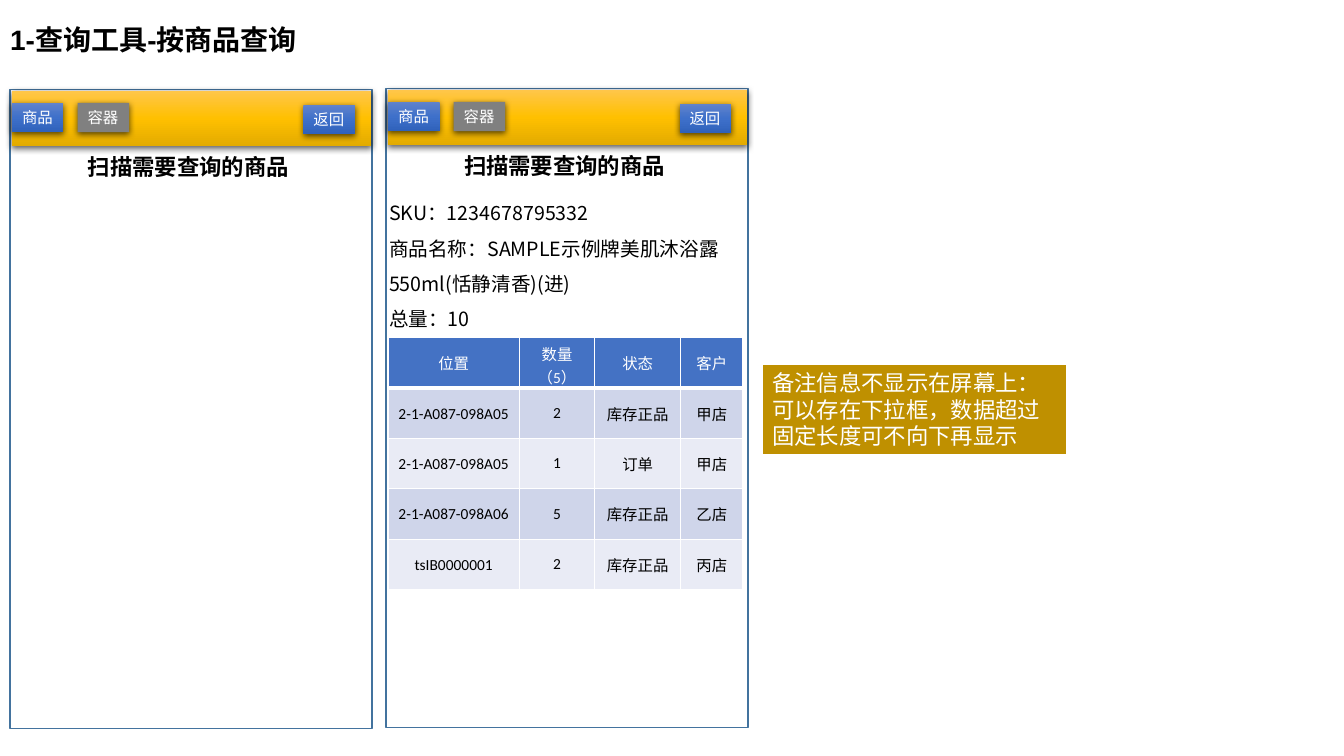
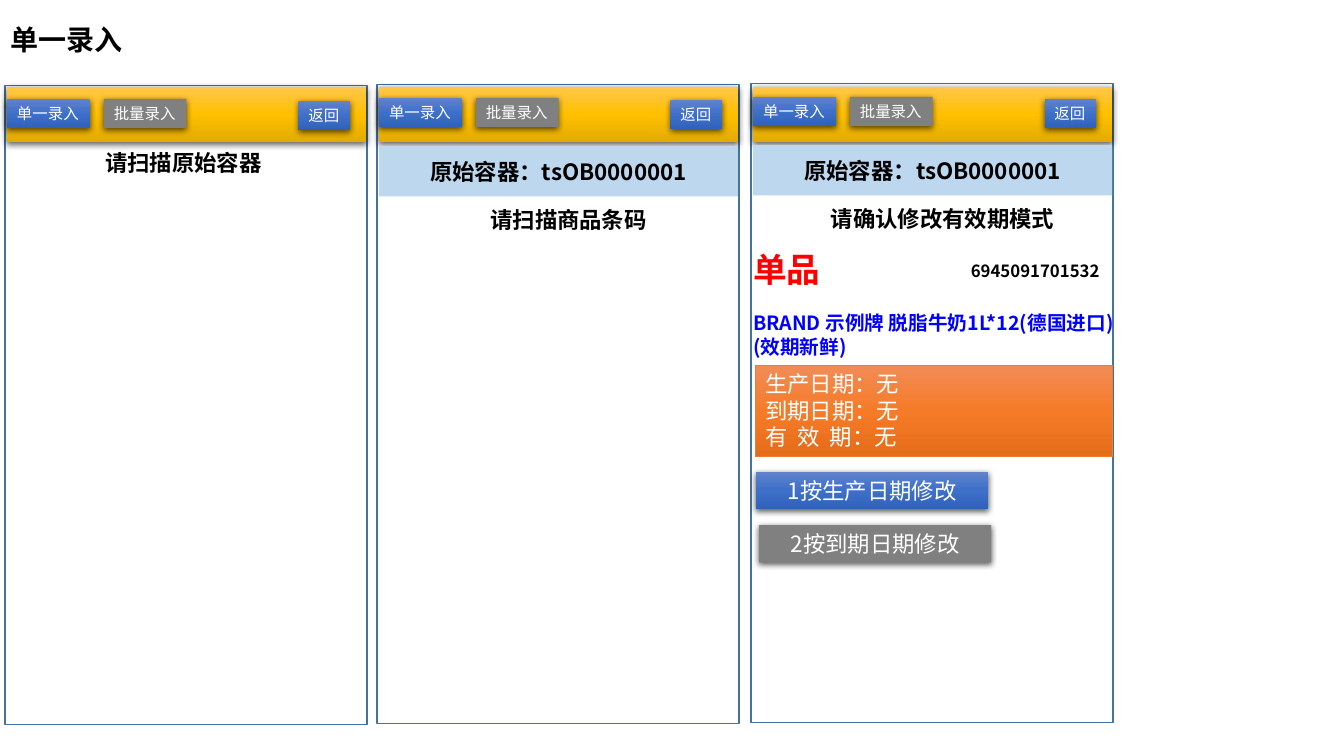
"""Build two slides of handheld scanner screens: stock query and single entry."""
import copy

import lxml.etree
import pptx
import pptx.dml.color
import pptx.enum.shapes
import pptx.enum.text
import pptx.oxml.ns
import pptx.util

PX = 9144
FONT = "Noto Sans CJK SC"
BLACK, WHITE, GREY, RED, LINK = "000000", "FFFFFF", "808080", "FF0000", "0000FF"
FRAME, STRIP, NOTE = "43739E", "BDD7EE", "BF9000"
GOLD = ("FFC64B", "FFC000", "E3AB00")
BLUE = ("6183CB", "3E70CA", "3062BB")
ORANGE = ("F18C57", "F67B28", "E56C19")
HEADER, ROW_FILLS = "4472C4", ("E9EBF5", "CFD5EA")
PHONE_W, PHONE_H, BAND_W, BAND_H = 359, 634, 356, 55
TAB_H, TAB_GAP, BACK_W = 29, 14, 51

rgb = pptx.dml.color.RGBColor.from_string
qn = pptx.oxml.ns.qn
Pt = pptx.util.Pt
ALIGN = pptx.enum.text.PP_ALIGN
ANCHOR = pptx.enum.text.MSO_ANCHOR
RECT = pptx.enum.shapes.MSO_SHAPE.RECTANGLE


def write(p, text, size, colour, bold=False, latin=FONT):
    """Add one formatted run to a paragraph."""
    r = p.add_run()
    r.text = text
    r.font.size, r.font.bold, r.font.name = Pt(size), bold, latin
    r.font.color.rgb = rgb(colour)
    ea = lxml.etree.SubElement(r.font._element, qn("a:ea"))
    ea.set("typeface", FONT)


def box(s, x, y, w, h, lines=(), size=16, colour=BLACK, bold=False, fill=None,
        line=None, shadow=False, align=ALIGN.LEFT, anchor=ANCHOR.TOP,
        wrap=True, spacing=None):
    """Add a rectangle, or a text box when it has no fill."""
    place = [n * PX for n in (x, y, w, h)]
    if fill:
        sp = s.shapes.add_shape(RECT, *place)
        sp.shadow.inherit = False
    else:
        sp = s.shapes.add_textbox(*place)
    if isinstance(fill, tuple):
        sp.fill.gradient()
        sp.fill.gradient_angle = 270
        stops = sp._element.spPr.find(".//" + qn("a:gsLst"))
        stops.append(copy.deepcopy(stops[0]))
        for stop, position, tint in zip(sp.fill.gradient_stops, (0, 0.5, 1), fill):
            stop.position = position
            stop.color.rgb = rgb(tint)
    elif fill:
        sp.fill.solid()
        sp.fill.fore_color.rgb = rgb(fill)
    if line:
        sp.line.color.rgb = rgb(line[0])
        sp.line.width = Pt(line[1])
    else:
        sp.line.fill.background()
    if shadow:
        effects = sp._element.spPr.find(qn("a:effectLst"))
        outer = lxml.etree.SubElement(effects, qn("a:outerShdw"), blurRad="57150",
                                      dist="19050", dir="5400000", algn="ctr",
                                      rotWithShape="0")
        shade = lxml.etree.SubElement(outer, qn("a:srgbClr"), val=BLACK)
        lxml.etree.SubElement(shade, qn("a:alpha"), val="63000")
    tf = sp.text_frame
    tf.word_wrap = wrap
    tf.vertical_anchor = anchor
    for i, text in enumerate(lines):
        p = tf.add_paragraph() if i else tf.paragraphs[0]
        p.alignment = align
        p.line_spacing = spacing
        write(p, text, size, colour, bold)


prs = pptx.Presentation()
prs.slide_width, prs.slide_height = 1333 * PX, 750 * PX

container = "原始容器：tsOB0000001"
screens = [
    ("1-查询工具-按商品查询", ("商品", "容器"), 51, [
        (10, 89, 90, None, "扫描需要查询的商品"),
        (383, 88, 89, None, "扫描需要查询的商品")]),
    ("单一录入", ("单一录入", "批量录入"), 82, [
        (5, 85, 86, None, "请扫描原始容器"),
        (374, 84, 86, container, "请扫描商品条码"),
        (745, 83, 86, container, "请确认修改有效期模式")]),
]
slides = []
for title, tabs, tab_w, phones in screens:
    s = prs.slides.add_slide(prs.slide_layouts[5])
    slides.append(s)
    sp = s.shapes.title
    sp.left, sp.top, sp.width, sp.height = 0, 22 * PX, 1150 * PX, 38 * PX
    sp.text_frame.vertical_anchor = ANCHOR.MIDDLE
    p = sp.text_frame.paragraphs[0]
    p.alignment, p.line_spacing = ALIGN.LEFT, 0.9
    write(p, title, 20, BLACK, True, "Arial")

    for x, y, band_y, strip, prompt in phones:
        box(s, x, y, PHONE_W, PHONE_H, fill=WHITE, line=(FRAME, 1))
        box(s, x + 2, band_y, BAND_W, BAND_H, fill=GOLD, shadow=True)
        buttons = [(x + 2 + i * (tab_w + TAB_GAP), y + 13, tab_w, tab, fill)
                   for i, (tab, fill) in enumerate(zip(tabs, (BLUE, GREY)))]
        buttons.append((x + 291, y + 15, BACK_W, "返回", BLUE))
        for left, top, width, label, fill in buttons:
            box(s, left, top, width, TAB_H, [label], 11, WHITE, fill=fill,
                shadow=True, wrap=False)
        prompt_x, prompt_y = (x + 12, y + 116) if strip else (x - 1, y + 58)
        box(s, prompt_x, prompt_y, BAND_W, 37, [prompt], bold=True, align=ALIGN.CENTER)
        if strip:
            box(s, x + 2, y + 61, BAND_W, 50, [strip], bold=True, fill=STRIP,
                align=ALIGN.CENTER, anchor=ANCHOR.MIDDLE)

query, entry = slides
box(query, 376, 183, 362, 151,
    ["SKU：1234678795332", "商品名称：SAMPLE示例牌美肌沐浴露550ml(恬静清香)(进)", "总量：10"],
    14, spacing=1.5)

stock = [
    ("位置", "数量（5）", "状态", "客户"),
    ("2-1-A087-098A05", "2", "库存正品", "甲店"),
    ("2-1-A087-098A05", "1", "订单", "甲店"),
    ("2-1-A087-098A06", "5", "库存正品", "乙店"),
    ("tsIB0000001", "2", "库存正品", "丙店"),
]
widths = (130, 75, 85, 62)
table = query.shapes.add_table(len(stock), len(widths), 385 * PX, 335 * PX,
                               sum(widths) * PX, 50 * len(stock) * PX).table
for column, width in zip(table.columns, widths):
    column.width = width * PX
for i, row in enumerate(stock):
    for j, text in enumerate(row):
        cell = table.cell(i, j)
        cell.vertical_anchor = ANCHOR.MIDDLE
        if i and j == 0:
            cell.margin_left = cell.margin_right = cell.margin_top = PX
            cell.margin_bottom = 0
        for side in "LRTB":
            thick = (i == 0 and side == "B") or (i == 1 and side == "T")
            ln = lxml.etree.SubElement(cell._tc.get_or_add_tcPr(), qn("a:ln" + side),
                                       w=str(Pt(3 if thick else 1)))
            paint = lxml.etree.SubElement(ln, qn("a:solidFill"))
            lxml.etree.SubElement(paint, qn("a:srgbClr"), val=WHITE)
        cell.fill.solid()
        cell.fill.fore_color.rgb = rgb(ROW_FILLS[i % 2] if i else HEADER)
        p = cell.text_frame.paragraphs[0]
        p.alignment = ALIGN.CENTER
        write(p, text, 11, BLACK if i else WHITE, latin="Calibri")

box(query, 756, 361, 302, 91,
    ["备注信息不显示在屏幕上：可以存在下拉框，数据超过固定长度可不向下再显示"],
    colour=WHITE, fill=NOTE, line=(WHITE, 1.5))

box(entry, 737, 304, 378, 57, ["BRAND 示例牌 脱脂牛奶1L*12(德国进口)(效期新鲜)"],
    14, LINK, True)
box(entry, 737, 242, 105, 50, ["单品"], 24, RED, True)
box(entry, 953, 254, 191, 30, ["6945091701532"], 12, bold=True)
for x, y, label, fill in [(750, 468, "1按生产日期修改", BLUE),
                          (753, 521, "2按到期日期修改", GREY)]:
    box(entry, x, y, 230, 37, [label], colour=WHITE, fill=fill, shadow=True,
        align=ALIGN.CENTER)
box(entry, 749, 362, 354, 91, ["生产日期：无", "到期日期：无", "有  效  期：无"],
    colour=WHITE, fill=ORANGE, line=("ED7D31", 0.5))

prs.save("out.pptx")
